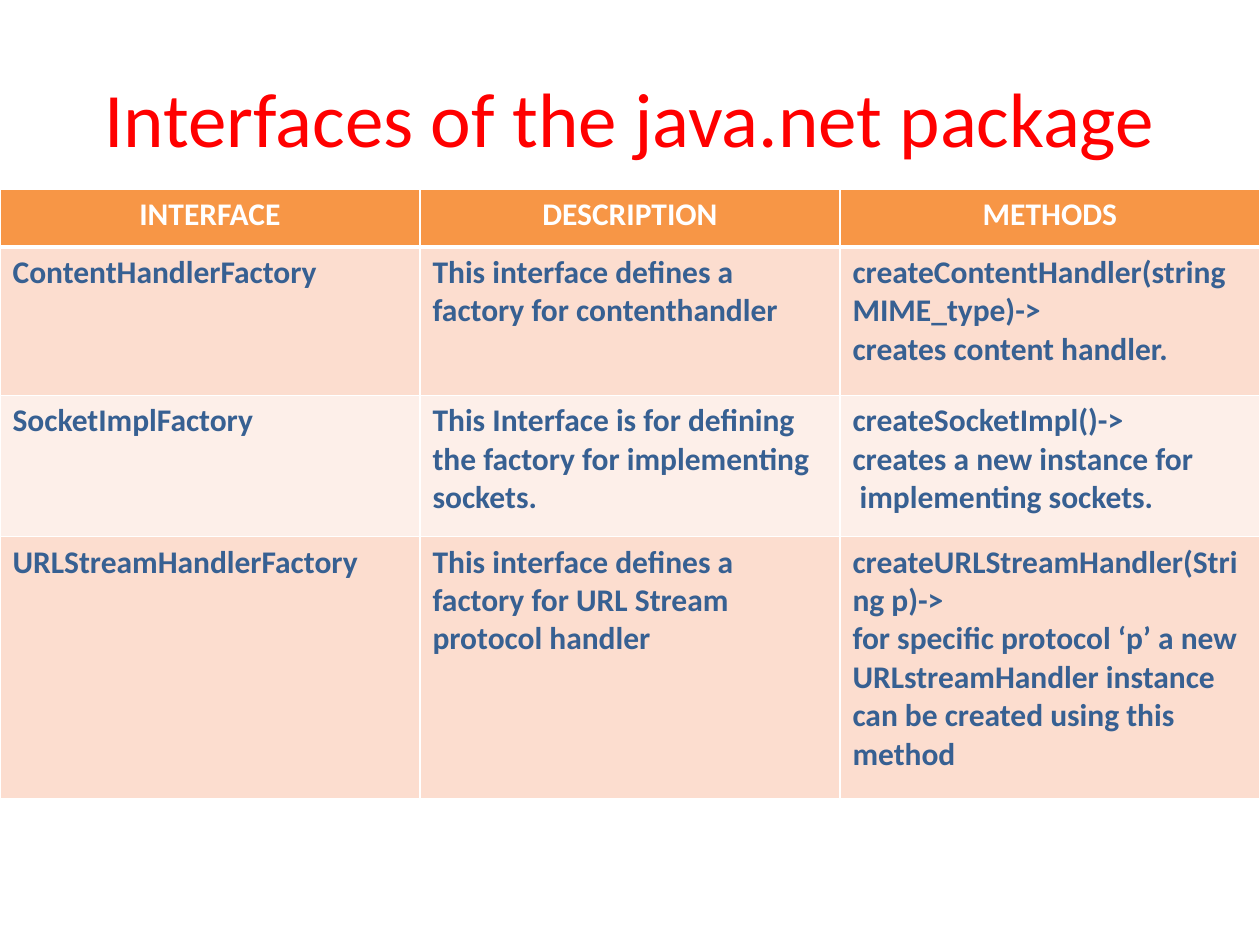
"""Build a slide with a table of the interfaces in the java.net package."""
from lxml.etree import SubElement
from pptx import Presentation
from pptx.dml.color import RGBColor
from pptx.enum.text import MSO_ANCHOR, PP_ALIGN
from pptx.oxml.ns import qn
from pptx.util import Inches, Pt

TITLE = "Interfaces of the java.net package"
HEADERS = ["INTERFACE", "DESCRIPTION", "METHODS"]
INTERFACES = [
    ["ContentHandlerFactory",
     "This interface defines a factory for contenthandler",
     "createContentHandler(string MIME_type)->\ncreates content handler."],
    ["SocketImplFactory",
     "This Interface is for defining the factory for implementing sockets.",
     "createSocketImpl()->\ncreates a new instance for\n implementing sockets."],
    ["URLStreamHandlerFactory",
     "This interface defines a factory for URL Stream protocol handler",
     "createURLStreamHandler(String p)->\nfor specific protocol ‘p’ a new "
     "URLstreamHandler instance can be created using this method"],
]
ROW_HEIGHTS = [0.46, 1.18, 1.12, 2.08]
FONT = "Calibri"
RED = RGBColor(0xFF, 0x00, 0x00)
WHITE = RGBColor(0xFF, 0xFF, 0xFF)
BLUE = RGBColor(0x37, 0x60, 0x92)
ORANGE = RGBColor(0xF7, 0x96, 0x46)
BANDS = [RGBColor(0xFC, 0xDD, 0xCF), RGBColor(0xFD, 0xEF, 0xE9)]


def write(text_frame, text, size, color, bold=False, alignment=PP_ALIGN.LEFT):
    for index, line in enumerate(text.split("\n")):
        paragraph = text_frame.add_paragraph() if index else text_frame.paragraphs[0]
        paragraph.alignment = alignment
        run = paragraph.add_run()
        run.text = line
        run.font.name = FONT
        run.font.size = Pt(size)
        run.font.bold = bold
        run.font.color.rgb = color


def set_borders(cell, bottom_width, top_width):
    properties = cell._tc.get_or_add_tcPr()
    widths = {"a:lnL": 1, "a:lnR": 1, "a:lnT": top_width, "a:lnB": bottom_width}
    for tag, width in widths.items():
        border = SubElement(properties, qn(tag), w=str(Pt(width)))
        fill = SubElement(border, qn("a:solidFill"))
        SubElement(fill, qn("a:srgbClr"), val=str(WHITE))


def add_title(slide):
    title = slide.shapes.add_textbox(Inches(0.5), Inches(0.3), Inches(9), Inches(1.25))
    title.text_frame.word_wrap = True
    title.text_frame.vertical_anchor = MSO_ANCHOR.MIDDLE
    write(title.text_frame, TITLE, 44, RED, alignment=PP_ALIGN.CENTER)


def add_interface_table(slide, width):
    rows = [HEADERS] + INTERFACES
    table = slide.shapes.add_table(
        len(rows), len(HEADERS), 0, Inches(1.5), width, Inches(sum(ROW_HEIGHTS))).table
    for row_index, texts in enumerate(rows):
        table.rows[row_index].height = Inches(ROW_HEIGHTS[row_index])
        header = row_index == 0
        for column_index, text in enumerate(texts):
            cell = table.cell(row_index, column_index)
            set_borders(cell, 3 if header else 1, 3 if row_index == 1 else 1)
            cell.fill.solid()
            cell.fill.fore_color.rgb = ORANGE if header else BANDS[(row_index - 1) % 2]
            write(cell.text_frame, text, 18, WHITE if header else BLUE, True,
                  PP_ALIGN.CENTER if header else PP_ALIGN.LEFT)


def main():
    presentation = Presentation()
    presentation.slide_width = Inches(10)
    presentation.slide_height = Inches(7.5)
    slide = presentation.slides.add_slide(presentation.slide_layouts[6])
    add_title(slide)
    add_interface_table(slide, presentation.slide_width)
    presentation.save("out.pptx")


if __name__ == "__main__":
    main()
